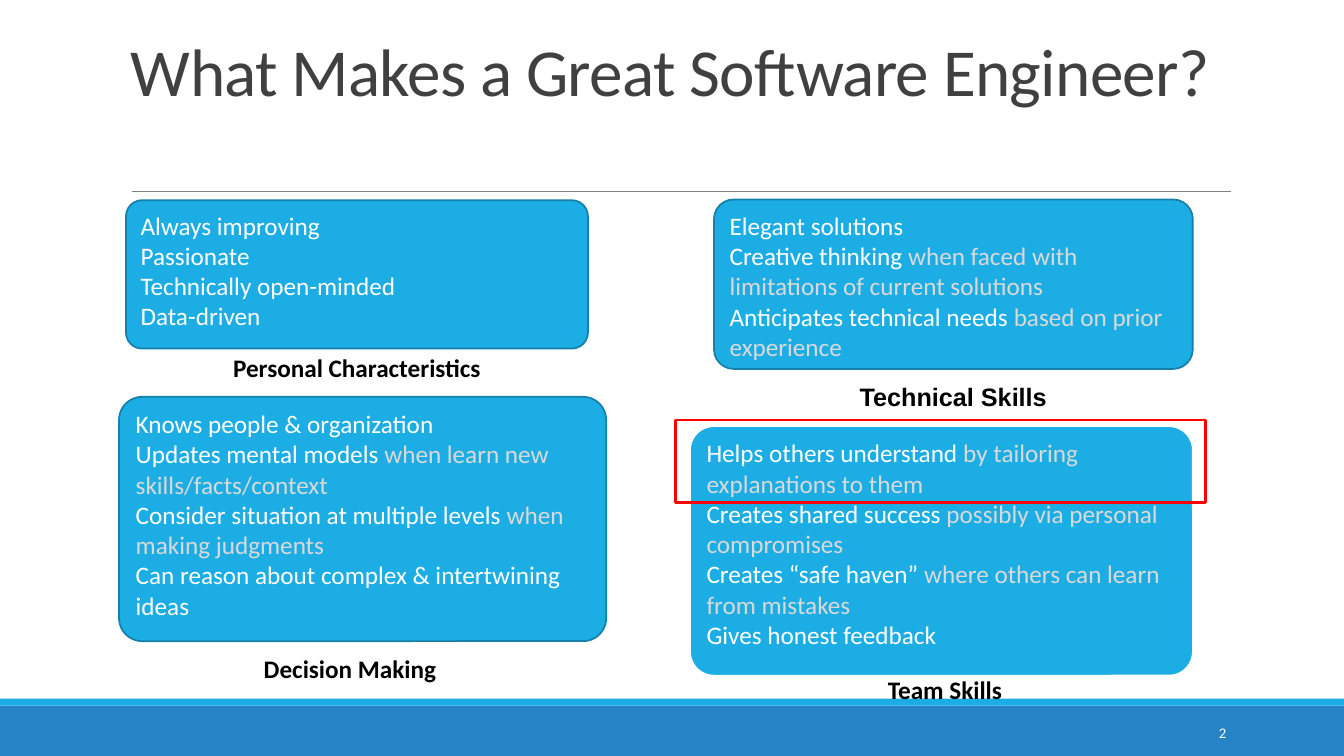
from lxml import etree
from pptx import Presentation
from pptx.dml.color import RGBColor
from pptx.enum.shapes import MSO_CONNECTOR, MSO_SHAPE as SHAPE
from pptx.enum.text import MSO_ANCHOR as ANCHOR, PP_ALIGN as ALIGN
from pptx.oxml.ns import qn
from pptx.util import Pt

WIDTH, HEIGHT = 960, 540
BLUE = RGBColor(0x1C, 0xAD, 0xE4)
DARK_BLUE = RGBColor(0x26, 0x83, 0xC6)
EDGE_BLUE = RGBColor(0x15, 0x80, 0xA9)
WHITE = RGBColor(0xFF, 0xFF, 0xFF)
LIGHT_GRAY = RGBColor(0xD9, 0xD9, 0xD9)
GRAY = RGBColor(0x80, 0x80, 0x80)
TITLE_GRAY = RGBColor(0x40, 0x40, 0x40)
BLACK = RGBColor(0, 0, 0)
RED = RGBColor(0xFF, 0, 0)

# Each trait is a strong part and an optional lighter part.
PERSONAL = [("Always improving",), ("Passionate",),
            ("Technically open-minded",), ("Data-driven",)]
TECHNICAL = [
    ("Elegant solutions",),
    ("Creative thinking ", "when faced with limitations of current solutions"),
    ("Anticipates technical needs ", "based on prior experience"),
]
DECISION = [
    ("Knows people & organization",),
    ("Updates mental models ", "when learn new skills/facts/context"),
    ("Consider situation at multiple levels ", "when making judgments"),
    ("Can reason about complex & intertwining ideas",),
]
TEAM = [
    ("Helps others understand ", "by tailoring explanations to them"),
    ("Creates shared success ", "possibly via personal compromises"),
    ("Creates “safe haven” ", "where others can learn from mistakes"),
    ("Gives honest feedback",),
]


def set_font(p, size, color, name="Calibri", bold=False):
    font = p.font
    font.size, font.name, font.bold = Pt(size), name, bold
    font.color.rgb = color


def add_shape(s, kind, box, fill=None, line=None, line_width=1):
    sp = s.shapes.add_shape(kind, *map(Pt, box))
    sp.shadow.inherit = False
    if fill is None:
        sp.fill.background()
    else:
        sp.fill.solid()
        sp.fill.fore_color.rgb = fill
    if line is None:
        sp.line.fill.background()
    else:
        sp.line.color.rgb = line
        sp.line.width = Pt(line_width)
    return sp


def add_label(s, box, text, size, color, align=ALIGN.CENTER,
              anchor=ANCHOR.TOP, **font):
    """Add a one-line text box and return its paragraph."""
    tf = s.shapes.add_textbox(*map(Pt, box)).text_frame
    tf.word_wrap = True
    tf.vertical_anchor = anchor
    p = tf.paragraphs[0]
    p.text, p.alignment = text, align
    set_font(p, size, color, **font)
    return p


def add_frame(s):
    """Draw the footer bars, the rule under the title and the slide number."""
    bar_top = HEIGHT - 36
    add_shape(s, SHAPE.RECTANGLE, (0, bar_top, WIDTH, 36), DARK_BLUE)
    add_shape(s, SHAPE.RECTANGLE, (0, bar_top - 5, WIDTH, 5), BLUE)
    rule = s.shapes.add_connector(MSO_CONNECTOR.STRAIGHT,
                                  Pt(94.5), Pt(136.5), Pt(879), Pt(136.5))
    rule.line.color.rgb, rule.line.width = GRAY, Pt(0.5)
    etree.SubElement(rule._element.spPr, qn("a:effectLst"))
    add_label(s, (780, bar_top + 4.5, 103, 29), "2", 10.5, WHITE,
              ALIGN.RIGHT, ANCHOR.MIDDLE)


def add_title(s, box, text):
    p = add_label(s, box, text, 48, TITLE_GRAY, ALIGN.LEFT)
    p.line_spacing = 0.85
    p.runs[0]._r.get_or_add_rPr().set("spc", "-50")


def add_skill_card(s, box, radius, traits, caption, caption_at,
                   caption_font="Calibri", line=EDGE_BLUE, line_width=1.25):
    """Add a rounded card of traits and its caption below."""
    sp = add_shape(s, SHAPE.ROUNDED_RECTANGLE, box, BLUE, line, line_width)
    sp.adjustments[0] = radius / min(box[2:])
    tf = sp.text_frame
    tf.word_wrap = True
    tf.vertical_anchor = ANCHOR.TOP
    for i, parts in enumerate(traits):
        p = tf.add_paragraph() if i else tf.paragraphs[0]
        p.alignment = ALIGN.LEFT
        set_font(p, 18, WHITE)
        for part, color in zip(parts, (WHITE, LIGHT_GRAY)):
            r = p.add_run()
            r.text = part
            r.font.color.rgb = color
    add_label(s, (*caption_at, 330, 29), caption, 18, BLACK,
              name=caption_font, bold=True)


def main():
    prs = Presentation()
    prs.slide_width, prs.slide_height = Pt(WIDTH), Pt(HEIGHT)
    s = prs.slides.add_slide(prs.slide_layouts[6])
    add_frame(s)
    add_title(s, (86.5, 26, 792, 110), "What Makes a Great Software Engineer?")
    add_skill_card(s, (90, 143, 330, 106), 11.5, PERSONAL,
                   "Personal Characteristics", (90, 248))
    add_skill_card(s, (492.5, 304, 360, 179), 17.5, TEAM,
                   "Team Skills", (510, 478), line=WHITE, line_width=2)
    add_skill_card(s, (85, 283.5, 348, 174.5), 16.5, DECISION,
                   "Decision Making", (85, 463))
    add_skill_card(s, (510, 142.5, 342, 121), 14, TECHNICAL,
                   "Technical Skills", (516, 268.5), "Arial")
    add_shape(s, SHAPE.RECTANGLE, (482.5, 300, 378.5, 59), line=RED, line_width=2)
    prs.save("out.pptx")


if __name__ == "__main__":
    main()
